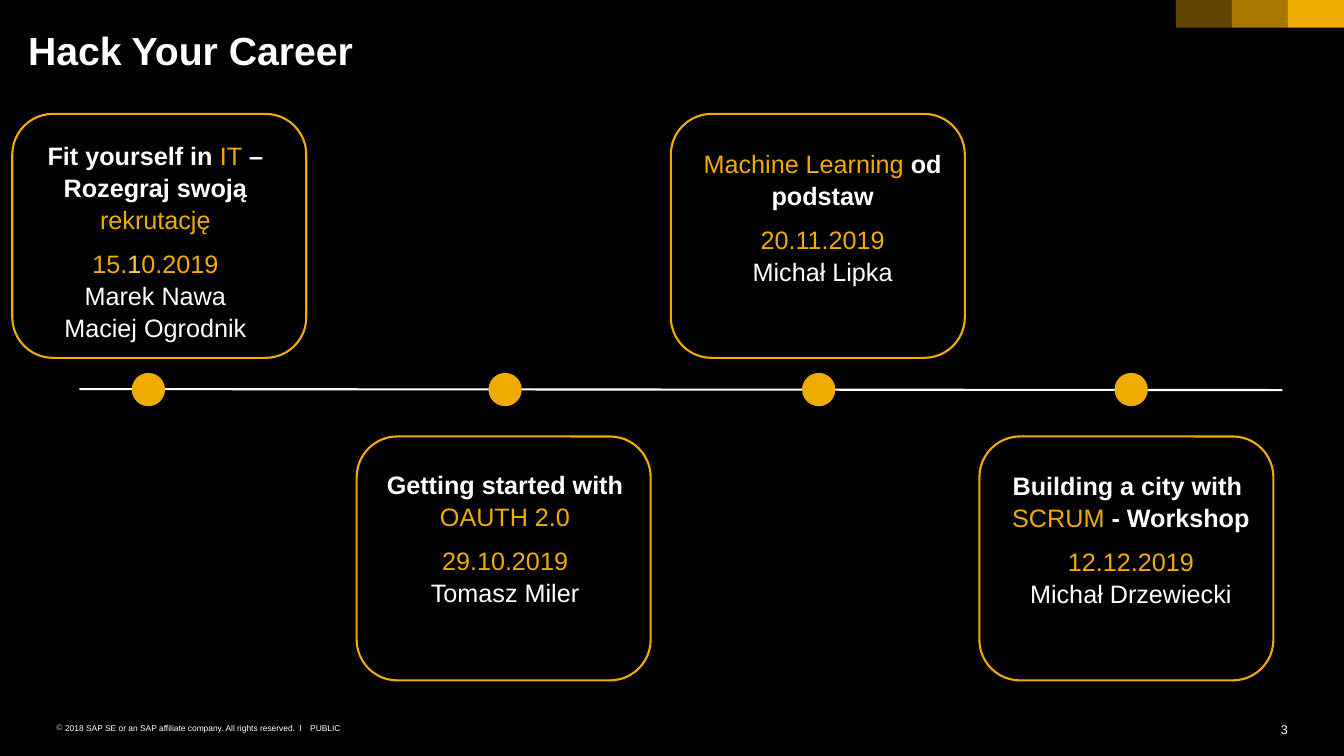
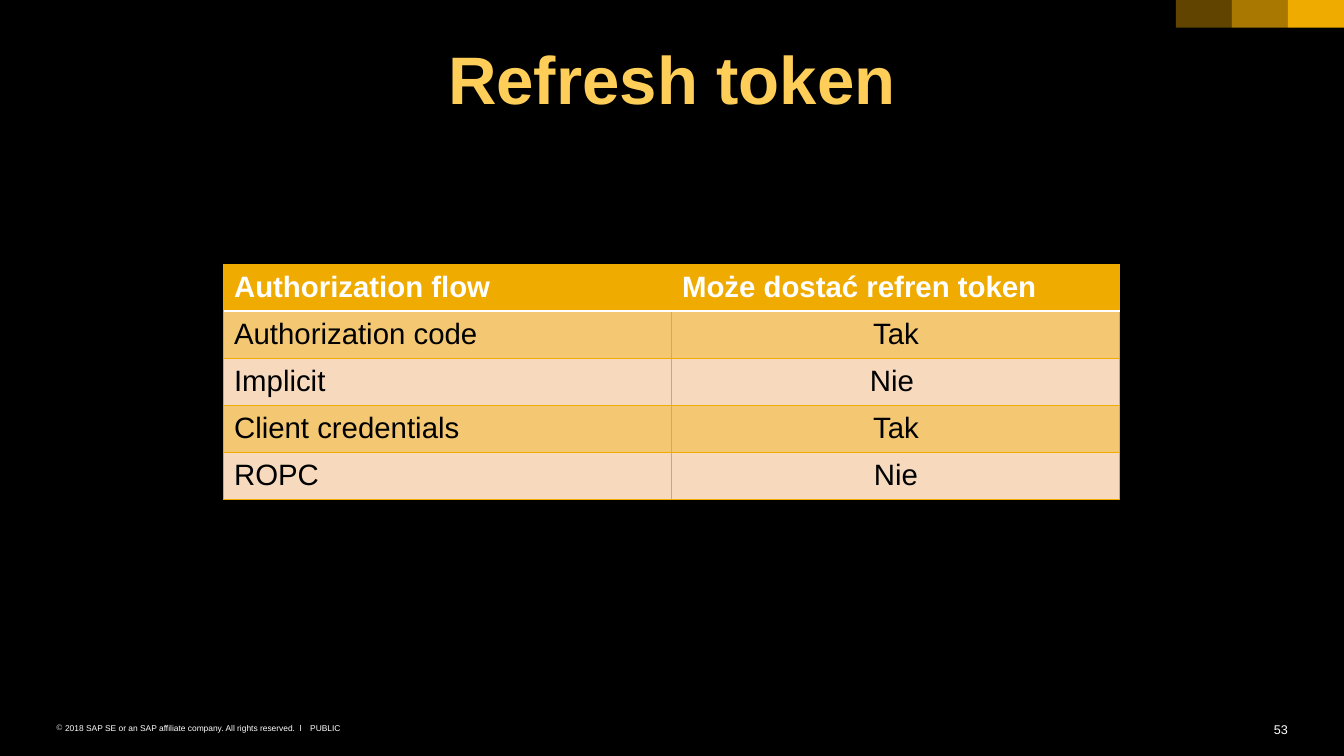
from dataclasses import dataclass
from typing import NamedTuple

from lxml.etree import SubElement as Sub
from pptx import Presentation
from pptx.dml.color import RGBColor as Rgb
from pptx.enum.shapes import MSO_CONNECTOR as Link, MSO_SHAPE as Kind
from pptx.enum.text import MSO_ANCHOR as Anchor, PP_ALIGN as Align
from pptx.oxml.ns import qn
from pptx.util import Inches, Pt

# Grid: 24 columns by 30 rows
WIDE, HIGH = 13.34, 7.5
COLS, ROWS = 24, 30


@dataclass(frozen=True)
class Theme:
    font: str = "Arial"
    back: str = "000000"
    white: str = "FFFFFF"
    gold: str = "F0AB00"
    light: str = "FECE59"
    dark: str = "F4C872"
    pale: str = "F7DABD"
    small: float = 6
    page: float = 9
    body: float = 18
    cell: float = 21
    head: float = 28
    big: float = 48
    line: float = 1.5
    thin: float = 0.79
    space: float = 1.05


T = Theme()


class Run(NamedTuple):
    text: str
    tone: str = T.white
    bold: bool = False


class Para(NamedTuple):
    runs: list[Run]
    gap: float = 0


class Box(NamedTuple):
    col: float
    row: float
    cols: float
    rows: float


@dataclass(frozen=True)
class Event:
    card: Box
    note: Box
    dot: float
    paras: list[Para]


def strong(text: str) -> Run:
    return Run(text, T.white, True)


def gold(text: str) -> Run:
    return Run(text, T.gold)


def date(*runs: Run) -> Para:
    return Para(list(runs), T.body / 2)


def name(text: str) -> Para:
    return Para([Run(text)])


def across(cols: float) -> int:
    return Inches(WIDE * cols / COLS)


def down(rows: float) -> int:
    return Inches(HIGH * rows / ROWS)


def area(box: Box) -> tuple[int, int, int, int]:
    return across(box.col), down(box.row), across(box.cols), down(box.rows)


def write(frame, paras: list[Para], *, size: float, align=Align.LEFT,
          space: float = T.space, bullet: str = "") -> None:
    """Fill a text frame with formatted paragraphs."""
    for i, item in enumerate(paras):
        para = frame.paragraphs[0] if i == 0 else frame.add_paragraph()
        para.alignment = align
        para.line_spacing = space
        para.space_before = Pt(item.gap)
        if bullet:
            props = para._p.get_or_add_pPr()
            props.set("marL", str(Inches(0.09)))
            props.set("indent", str(-Inches(0.09)))
            tint = Sub(props, qn("a:buClr"))
            Sub(tint, qn("a:srgbClr"), val=T.white)
            Sub(props, qn("a:buChar"), char=bullet)
        for part in item.runs:
            run = para.add_run()
            run.text = part.text
            font = run.font
            font.name, font.size, font.bold = T.font, Pt(size), part.bold
            font.color.rgb = Rgb.from_string(part.tone)


def inset(frame, side: float, edge: float) -> None:
    frame.margin_left = frame.margin_right = Inches(side)
    frame.margin_top = frame.margin_bottom = Inches(edge)


def label(slide, box: Box, paras: list[Para], *, wrap: bool = True,
          pad: bool = False, **style) -> None:
    frame = slide.shapes.add_textbox(*area(box)).text_frame
    frame.word_wrap = wrap
    inset(frame, 0.1 * pad, 0.05 * pad)
    write(frame, paras, **style)


def shape(slide, kind: Kind, box: Box, *, fill: str = "", line: str = "",
          alpha: int = 100) -> None:
    item = slide.shapes.add_shape(kind, *area(box))
    item.shadow.inherit = False
    if fill:
        item.fill.solid()
        item.fill.fore_color.rgb = Rgb.from_string(fill)
    else:
        item.fill.background()
    if alpha < 100:
        tint = item._element.spPr.find(".//" + qn("a:srgbClr"))
        Sub(tint, qn("a:alpha"), val=str(alpha * 1000))
    if line:
        item.line.color.rgb = Rgb.from_string(line)
        item.line.width = Pt(T.line)
    else:
        item.line.fill.background()


def start(deck, page: int):
    """Add a title-only slide with the shared footer and corner bands."""
    slide = deck.slides.add_slide(deck.slide_layouts[5])
    label(slide, Box(22.73, 28.6, 0.27, 0.6), [name(str(page))],
          size=T.page, align=Align.RIGHT, wrap=False)
    label(slide, Box(5.54, 28.68, 0.56, 0.4), [name("PUBLIC")],
          size=T.small, wrap=False)
    label(slide, Box(1, 28.68, 4.46, 0.4),
          [name("2018 SAP SE or an SAP affiliate company. "
                "All rights reserved.  ǀ")],
          size=T.small, bullet="©")
    for i, alpha in enumerate((40, 70, 100)):
        shape(slide, Kind.RECTANGLE, Box(COLS - 3 + i, 0, 1, 1.1),
              fill=T.gold, alpha=alpha)
    return slide


def title(slide, box: Box, run: Run, *, anchor: Anchor, pad: bool,
          **style) -> None:
    item = slide.shapes.title
    item.left, item.top, item.width, item.height = area(box)
    frame = item.text_frame
    frame.vertical_anchor = anchor
    inset(frame, 0.1 * pad, 0.05 * pad)
    write(frame, [Para([run])], **style)


# Timeline content
EVENTS = [
    Event(Box(0.22, 4.52, 5.25, 9.68), Box(0.32, 5.32, 4.91, 13.12), 2.65, [
        Para([strong("Fit yourself in "), gold("IT"),
              strong(" – Rozegraj swoją "), gold("rekrutację")]),
        date(gold("15."), Run("1", T.light), gold("0.2019")),
        name("Marek Nawa"), name("Maciej Ogrodnik")]),
    Event(Box(6.37, 17.32, 5.25, 9.68), Box(6.22, 18.36, 5.6, 10.72), 9.02, [
        Para([strong("Getting started with "), gold("OAUTH 2.0")]),
        date(gold("29.10.2019")), name("Tomasz Miler")]),
    Event(Box(11.98, 4.52, 5.25, 9.68), Box(11.89, 5.64, 5.6, 10.72), 14.62, [
        Para([gold("Machine Learning "), strong("od podstaw")]),
        date(gold("20.11.2019")), name("Michał Lipka")]),
    Event(Box(17.49, 17.32, 5.25, 9.68), Box(17.04, 18.4, 6.31, 10.72), 20.2, [
        Para([strong("Building a city with ")]),
        Para([gold("SCRUM "), strong("- Workshop")]),
        date(gold("12.12.2019")), name("Michał Drzewiecki")]),
]

# Table content
FLOWS = [
    ("Authorization flow", "Może dostać refren token"),
    ("Authorization code", "Tak"),
    ("Implicit", "Nie "),
    ("Client credentials", "Tak"),
    ("ROPC", "Nie"),
]


def career(deck) -> None:
    slide = start(deck, 3)
    title(slide, Box(0.5, 1.24, 21.96, 3.32), strong("Hack Your Career"),
          anchor=Anchor.TOP, pad=False, size=T.head, space=0.9)
    # Axis
    axis = slide.shapes.add_connector(
        Link.STRAIGHT, across(1.42), down(15.44), across(22.9), down(15.48))
    axis.line.color.rgb = Rgb.from_string(T.white)
    axis.line.width = Pt(T.line)
    Sub(axis._element.spPr, qn("a:effectLst"))
    # Dots, cards and their text
    wide, high = 0.31 * COLS / WIDE, 0.31 * ROWS / HIGH
    for event in EVENTS:
        spot = Box(event.dot - wide / 2, 15.46 - high / 2, wide, high)
        shape(slide, Kind.OVAL, spot, fill=T.gold, line=T.gold)
        shape(slide, Kind.ROUNDED_RECTANGLE, event.card, line=T.gold)
        label(slide, event.note, event.paras, pad=True,
              size=T.body, align=Align.CENTER)


def edge(cell, side: str, tone: str, width: float) -> None:
    line = Sub(cell._tc.get_or_add_tcPr(), qn("a:ln" + side),
               w=str(Pt(width)))
    fill = Sub(line, qn("a:solidFill"))
    Sub(fill, qn("a:srgbClr"), val=tone)


def token(deck) -> None:
    slide = start(deck, 53)
    title(slide, Box(1, 1.24, 22, 3.64), Run("Refresh token", T.light, True),
          anchor=Anchor.BOTTOM, pad=True, size=T.big, align=Align.CENTER)
    # Table of flows
    box = Box(4, 10.48, 16, 1.8 * len(FLOWS))
    grid = slide.shapes.add_table(len(FLOWS), 2, *area(box)).table
    for r, texts in enumerate(FLOWS):
        grid.rows[r].height = down(1.8)
        fill = T.gold if r == 0 else T.dark if r % 2 else T.pale
        for c, text in enumerate(texts):
            cell = grid.cell(r, c)
            for side in "LRTB":
                rule = (r, side) in ((0, "B"), (1, "T"))
                edge(cell, side, T.white if rule else T.gold,
                     T.line if rule else T.thin)
            cell.fill.solid()
            cell.fill.fore_color.rgb = Rgb.from_string(fill)
            run = strong(text) if r == 0 else Run(text, T.back)
            write(cell.text_frame, [Para([run])], size=T.cell,
                  align=Align.CENTER if r and c else Align.LEFT)


def main() -> None:
    deck = Presentation()
    deck.slide_width, deck.slide_height = Inches(WIDE), Inches(HIGH)
    back = deck.slide_master.background.fill
    back.solid()
    back.fore_color.rgb = Rgb.from_string(T.back)
    career(deck)
    token(deck)
    deck.save("out.pptx")


if __name__ == "__main__":
    main()
